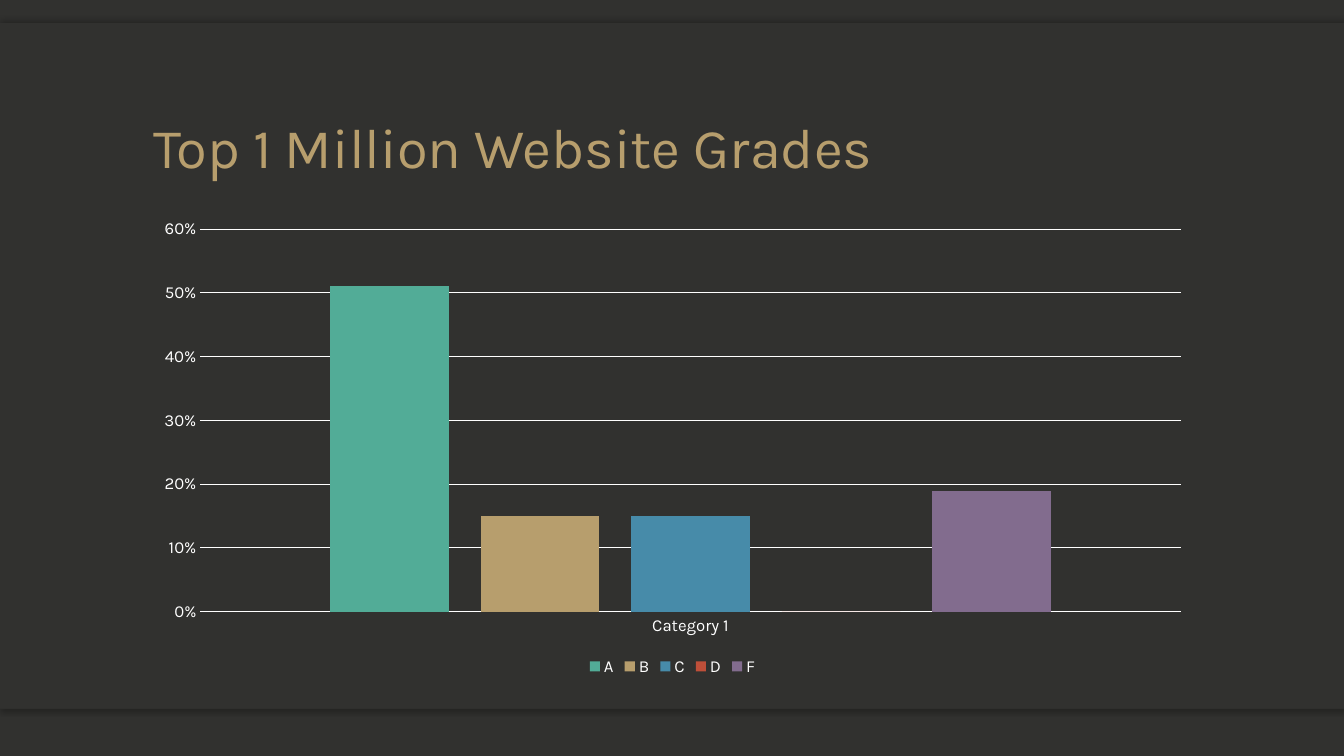
from lxml.etree import SubElement
from pptx import Presentation
from pptx.chart.data import CategoryChartData
from pptx.dml.color import RGBColor
from pptx.enum.chart import XL_CHART_TYPE, XL_LEGEND_POSITION, XL_TICK_MARK
from pptx.enum.shapes import MSO_SHAPE
from pptx.enum.text import MSO_ANCHOR
from pptx.oxml.ns import qn
from pptx.util import Inches, Pt

CHARCOAL = RGBColor(0x31, 0x31, 0x2F)
WHITE = RGBColor(0xFF, 0xFF, 0xFF)
TEAL = RGBColor(0x52, 0xAC, 0x97)
GOLD = RGBColor(0xB7, 0x9E, 0x6D)
BLUE = RGBColor(0x47, 0x8B, 0xA9)
RED = RGBColor(0xBF, 0x4F, 0x39)
PURPLE = RGBColor(0x82, 0x6C, 0x8E)

GRADES = [
    ("A", 0.51, TEAL),
    ("B", 0.15, GOLD),
    ("C", 0.15, BLUE),
    ("D", 0, RED),
    ("F", 0.19, PURPLE),
]


class GradeSlide:
    font_name = "Karla"
    label_size = Pt(12)

    def __init__(self, presentation):
        self.slide = presentation.slides.add_slide(presentation.slide_layouts[6])
        background = self.slide.background.fill
        background.solid()
        background.fore_color.rgb = CHARCOAL

    def style_font(self, font, size, color):
        font.name = self.font_name
        font.size = size
        font.color.rgb = color

    def band(self, top, height, shadow_angle=None):
        panel = self.slide.shapes.add_shape(
            MSO_SHAPE.RECTANGLE, 0, Inches(top), Inches(13.33), Inches(height))
        panel.fill.solid()
        panel.fill.fore_color.rgb = CHARCOAL
        panel.line.fill.background()
        panel.shadow.inherit = False
        if shadow_angle is not None:
            effects = panel.fill._xPr.find(qn("a:effectLst"))
            shadow = SubElement(
                effects, qn("a:outerShdw"), blurRad=str(Pt(4)), dist=str(Pt(2)),
                dir=str(shadow_angle * 60000), algn="ctr", rotWithShape="0")
            shade = SubElement(shadow, qn("a:srgbClr"), val="000000")
            SubElement(shade, qn("a:alpha"), val="25000")

    def title(self, text, left, top, width, height):
        box = self.slide.shapes.add_textbox(
            Inches(left), Inches(top), Inches(width), Inches(height))
        frame = box.text_frame
        frame.word_wrap = True
        frame.vertical_anchor = MSO_ANCHOR.BOTTOM
        frame.text = text
        heading = frame.paragraphs[0]
        heading.line_spacing = 0.9
        self.style_font(heading.runs[0].font, Pt(40), GOLD)

    def column_chart(self, category, grades, left, top, width, height):
        grade_data = CategoryChartData(number_format="0%")
        grade_data.categories = [category]
        for grade, share, _ in grades:
            grade_data.add_series(grade, [share])
        chart = self.slide.shapes.add_chart(
            XL_CHART_TYPE.COLUMN_CLUSTERED, Inches(left), Inches(top),
            Inches(width), Inches(height), grade_data).chart
        self.style_font(chart.font, Pt(10), WHITE)
        chart.has_title = False
        chart.has_legend = True
        chart.legend.position = XL_LEGEND_POSITION.BOTTOM
        chart.legend.include_in_layout = False
        self.style_font(chart.legend.font, self.label_size, WHITE)

        columns = chart.plots[0]
        columns.gap_width = 219
        columns.overlap = -27
        columns.vary_by_categories = False
        for series, (_, _, color) in zip(columns.series, grades):
            series.format.fill.solid()
            series.format.fill.fore_color.rgb = color
            series.invert_if_negative = False

        for axis in (chart.category_axis, chart.value_axis):
            axis.major_tick_mark = XL_TICK_MARK.NONE
            axis.minor_tick_mark = XL_TICK_MARK.NONE
            self.style_font(axis.tick_labels.font, self.label_size, WHITE)
        shares = chart.value_axis
        shares.minimum_scale = 0
        shares.maximum_scale = 0.6
        shares.major_unit = 0.1
        shares.tick_labels.number_format = "0%"
        shares.tick_labels.number_format_is_linked = False
        shares.format.line.fill.background()
        for line in (chart.category_axis.format.line, shares.major_gridlines.format.line):
            line.color.rgb = WHITE
            line.width = Pt(0.75)


def main():
    presentation = Presentation()
    presentation.slide_width = Inches(13.33)
    presentation.slide_height = Inches(7.5)
    grade_slide = GradeSlide(presentation)
    grade_slide.band(6.54, 0.49, shadow_angle=90)
    grade_slide.band(0.23, 0.49, shadow_angle=270)
    grade_slide.band(0.23, 6.8)
    grade_slide.title("Top 1 Million Website Grades", 1.42, 0.46, 10.5, 1.38)
    grade_slide.column_chart("Category 1", GRADES, 1.42, 2.08, 10.5, 4.67)
    presentation.save("out.pptx")


if __name__ == "__main__":
    main()
